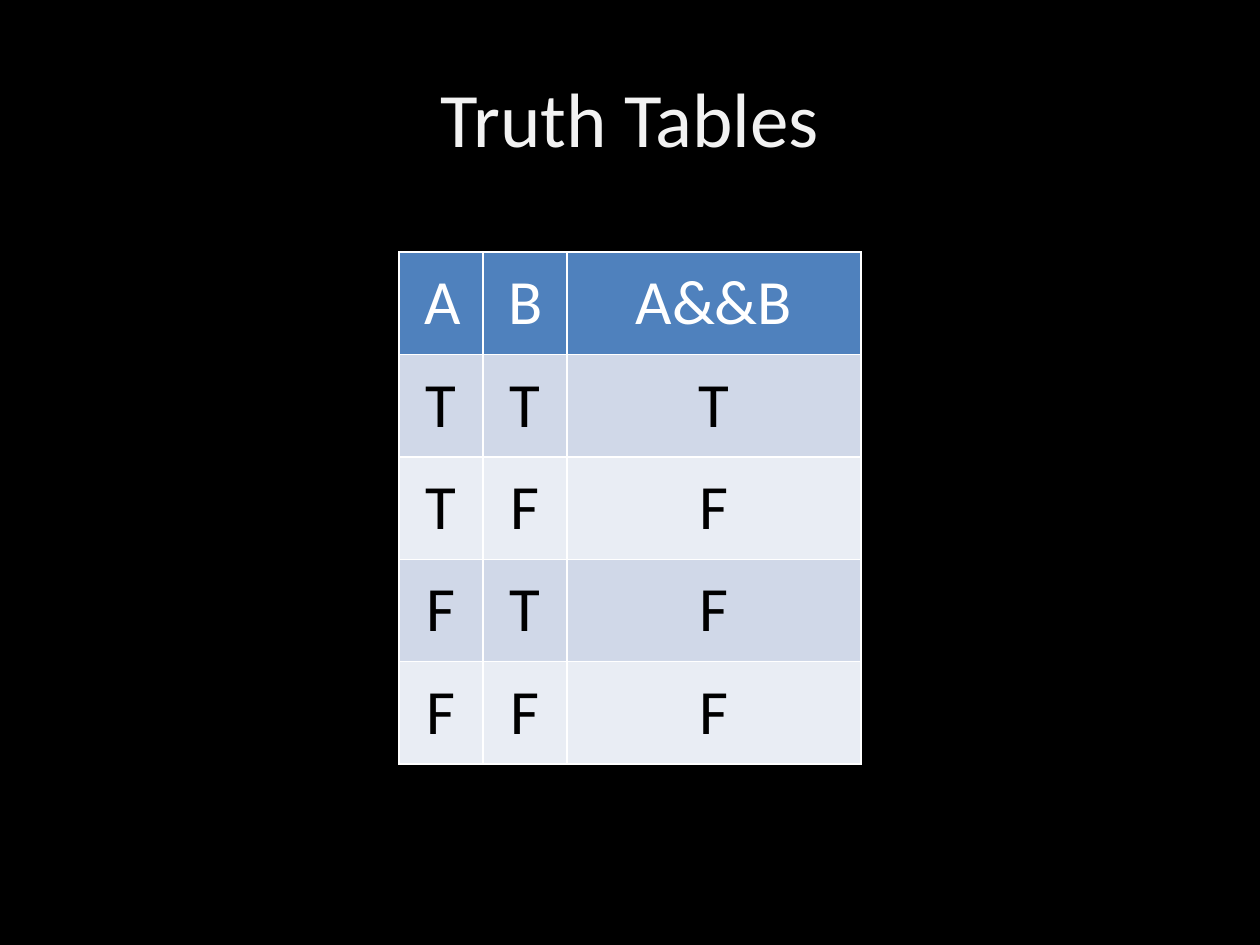
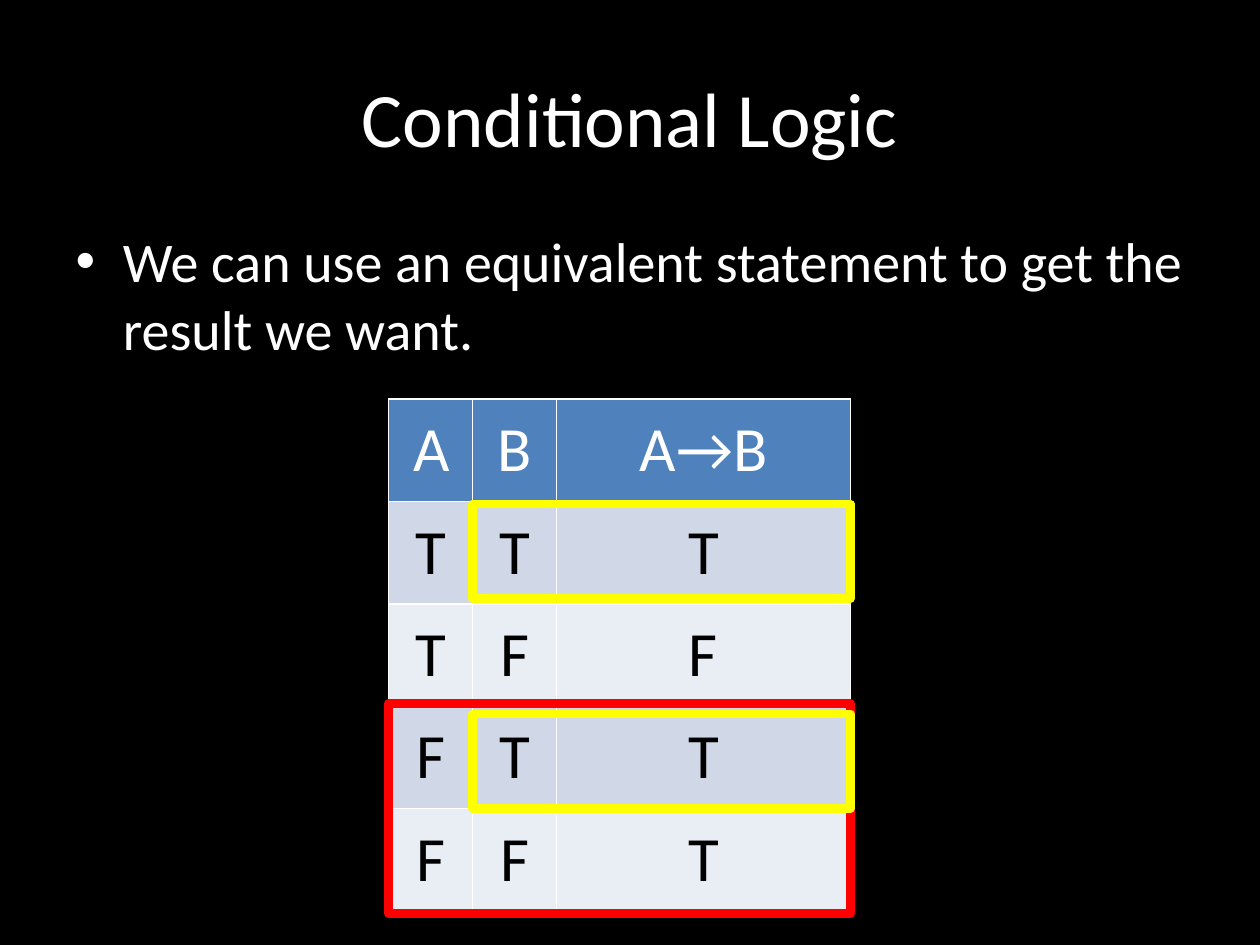
from dataclasses import dataclass

from lxml import etree
from pptx import Presentation
from pptx.dml.color import RGBColor
from pptx.enum.shapes import MSO_SHAPE
from pptx.enum.text import MSO_ANCHOR, PP_ALIGN
from pptx.oxml.ns import qn
from pptx.util import Inches, Length, Pt

RECTANGLE = MSO_SHAPE.RECTANGLE
CENTER = PP_ALIGN.CENTER
LEFT = PP_ALIGN.LEFT
MIDDLE = MSO_ANCHOR.MIDDLE
TOP = MSO_ANCHOR.TOP

SLIDE_WIDTH = Inches(10)
SLIDE_HEIGHT = Inches(7.5)
GRID_COLUMNS = 30
FONT = "Calibri"
BLACK = "000000"
WHITE = "FFFFFF"
OFF_WHITE = "F2F2F2"
HEADER_BLUE = "4F81BD"
BAND_COLORS = ("D0D8E8", "E9EDF4")
RED = "FF0000"
YELLOW = "FFFF00"
TRUTH_COLUMNS = (2, 2, 7)
TRUTH_ROW = 2.44
BODY_LAYOUT = 1
TITLE_ONLY_LAYOUT = 5
OPERANDS = ("TT", "TF", "FT", "FF")


@dataclass(frozen=True)
class Area:
    column: float
    row: float
    columns: float
    rows: float

    def lengths(self) -> tuple[Length, ...]:
        return tuple(grid(n) for n in (self.column, self.row, self.columns, self.rows))


@dataclass(frozen=True)
class TruthTable:
    expression: str
    results: str
    column: float
    row: float


@dataclass(frozen=True)
class Highlight:
    area: Area
    color: str


TITLE_AREA = Area(1.5, 0.9, 27, 3.75)
BODY_AREA = Area(1.5, 5.25, 27, 14.85)
CONJUNCTION = TruthTable("A&&B", "TFFF", 9.5, 6)
IMPLICATION = TruthTable("A→B", "TFTT", 9.25, 9.5)
HIGHLIGHTS = (
    Highlight(Area(9.25, 16.75, 11, 5), RED),
    Highlight(Area(11.25, 12, 9, 2.25), YELLOW),
    Highlight(Area(11.25, 17, 9, 2.25), YELLOW),
)


def grid(units: float) -> Length:
    return Length(round(units * SLIDE_WIDTH / GRID_COLUMNS))


def rgb(color: str) -> RGBColor:
    return RGBColor.from_string(color)


def write(frame, text: str, *, size: float, color: str, align=CENTER) -> None:
    frame.text = text
    paragraph = frame.paragraphs[0]
    paragraph.alignment = align
    paragraph.space_before = Pt(0)
    font = paragraph.runs[0].font
    font.name = FONT
    font.size = Pt(size)
    font.bold = False
    font.color.rgb = rgb(color)


def place(placeholder, area: Area, anchor) -> None:
    (placeholder.left, placeholder.top,
     placeholder.width, placeholder.height) = area.lengths()
    placeholder.text_frame.vertical_anchor = anchor


def add_slide(deck, layout: int, title: str, title_color: str):
    slide = deck.slides.add_slide(deck.slide_layouts[layout])
    heading = slide.shapes.title
    place(heading, TITLE_AREA, MIDDLE)
    write(heading.text_frame, title, size=44, color=title_color)
    return slide


def border_cell(cell, color: str, width: float) -> None:
    properties = cell._tc.get_or_add_tcPr()
    for index, side in enumerate(("a:lnL", "a:lnR", "a:lnT", "a:lnB")):
        line = etree.Element(qn(side), w=str(Pt(width)))
        fill = etree.SubElement(line, qn("a:solidFill"))
        etree.SubElement(fill, qn("a:srgbClr"), val=color)
        properties.insert(index, line)


def fill_cell(cell, text: str, fill: str, color: str) -> None:
    cell.margin_left = cell.margin_right = Inches(0.2)
    cell.margin_top = cell.margin_bottom = Inches(0.1)
    cell.fill.solid()
    cell.fill.fore_color.rgb = rgb(fill)
    border_cell(cell, WHITE, 1)
    write(cell.text_frame, text, size=36, color=color)


def add_truth_table(slide, truth: TruthTable) -> None:
    values = [("A", "B", truth.expression)]
    values += [(*pair, result) for pair, result in zip(OPERANDS, truth.results)]
    area = Area(truth.column, truth.row, sum(TRUTH_COLUMNS), TRUTH_ROW * len(values))
    table = slide.shapes.add_table(len(values), len(TRUTH_COLUMNS), *area.lengths()).table
    for column, units in zip(table.columns, TRUTH_COLUMNS):
        column.width = grid(units)
    for index, row_values in enumerate(values):
        table.rows[index].height = grid(TRUTH_ROW)
        fill = BAND_COLORS[(index - 1) % 2] if index else HEADER_BLUE
        color = BLACK if index else WHITE
        for cell, value in zip(table.rows[index].cells, row_values):
            fill_cell(cell, value, fill, color)


def add_highlight(slide, highlight: Highlight) -> None:
    outline = slide.shapes.add_shape(RECTANGLE, *highlight.area.lengths())
    outline.shadow.inherit = False
    outline.fill.background()
    outline.line.color.rgb = rgb(highlight.color)
    outline.line.width = Pt(5)


def main() -> None:
    deck = Presentation()
    deck.slide_width = SLIDE_WIDTH
    deck.slide_height = SLIDE_HEIGHT
    backdrop = deck.slide_master.background.fill
    backdrop.solid()
    backdrop.fore_color.rgb = rgb(BLACK)

    truth_slide = add_slide(deck, TITLE_ONLY_LAYOUT, "Truth Tables", OFF_WHITE)
    add_truth_table(truth_slide, CONJUNCTION)

    logic_slide = add_slide(deck, BODY_LAYOUT, "Conditional Logic", WHITE)
    statement = logic_slide.placeholders[1]
    place(statement, BODY_AREA, TOP)
    write(statement.text_frame,
          "We can use an equivalent statement to get the result we want.",
          size=32, color=WHITE, align=LEFT)
    add_truth_table(logic_slide, IMPLICATION)
    for highlight in HIGHLIGHTS:
        add_highlight(logic_slide, highlight)

    deck.save("out.pptx")


if __name__ == "__main__":
    main()
